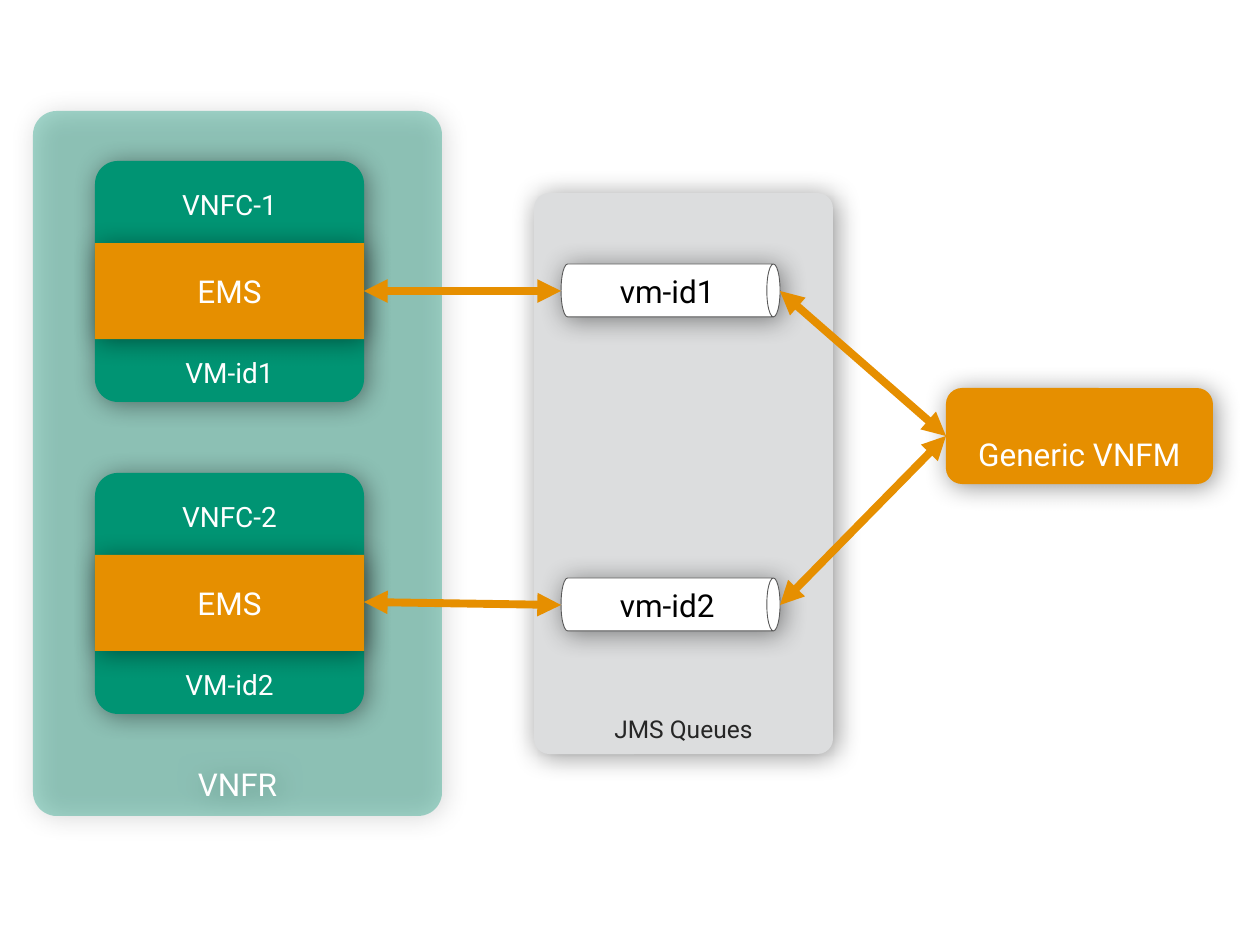
"""Build the slide of VNF components, message queues and their manager."""
from dataclasses import dataclass
from typing import Optional

from lxml import etree
from pptx import Presentation
from pptx import util as u
from pptx.dml.color import RGBColor
from pptx.enum import shapes, text
from pptx.oxml import ns

PIXEL = 914400 / 126
FONT = "Roboto"
WHITE = RGBColor(0xFF, 0xFF, 0xFF)
BLACK = RGBColor(0, 0, 0)
CHARCOAL = RGBColor(0x26, 0x26, 0x26)
OUTLINE = RGBColor(0x59, 0x59, 0x59)
GRAY = RGBColor(0xDC, 0xDD, 0xDE)
ORANGE = RGBColor(0xE6, 0x8F, 0x00)
GREEN = RGBColor(0x00, 0x94, 0x73)

ROUNDED = shapes.MSO_SHAPE.ROUNDED_RECTANGLE
CAN = shapes.MSO_SHAPE.CAN
BOTTOM = text.MSO_ANCHOR.BOTTOM
MIDDLE = text.MSO_ANCHOR.MIDDLE


@dataclass(frozen=True)
class Box:
    left: int
    top: int
    width: int
    height: int
    fill: RGBColor
    lines: tuple[str, ...]
    size: int = 18
    color: RGBColor = WHITE
    anchor: text.MSO_ANCHOR = BOTTOM
    corner: Optional[float] = None
    kind: shapes.MSO_SHAPE = ROUNDED
    opacity: int = 100
    line_gap: int = 0


@dataclass(frozen=True)
class Arrow:
    start: tuple[int, int]
    end: tuple[int, int]


def px(value: float) -> u.Emu:
    return u.Emu(round(value * PIXEL))


def apply(target: object, values: dict) -> None:
    for name, value in values.items():
        setattr(target, name, value)


def add_child(parent, tag: str, **attributes: str):
    child = etree.SubElement(parent, ns.qn(tag))
    for name, value in attributes.items():
        child.set(name, value)
    return child


def add_shadow(shape) -> None:
    shape.shadow.inherit = False
    effects = shape._element.spPr.find(ns.qn("a:effectLst"))
    shadow = add_child(effects, "a:outerShdw", blurRad=str(u.Pt(15)),
                       dist=str(u.Pt(2)), dir=str(45 * 60000), algn="ctr",
                       rotWithShape="0")
    color = add_child(shadow, "a:srgbClr", val="000000")
    add_child(color, "a:alpha", val="43000")


def write_lines(shape, box: Box) -> None:
    frame = shape.text_frame
    apply(frame, {"word_wrap": True, "vertical_anchor": box.anchor})
    for index, line in enumerate(box.lines):
        paragraph = frame.add_paragraph() if index else frame.paragraphs[0]
        apply(paragraph, {"text": line, "alignment": text.PP_ALIGN.CENTER,
                          "space_before": u.Pt(box.line_gap if index else 0)})
        apply(paragraph.font, {"name": FONT, "size": u.Pt(box.size)})
        paragraph.font.color.rgb = box.color


def draw_box(parent, box: Box) -> None:
    shape = parent.add_shape(box.kind, px(box.left), px(box.top),
                             px(box.width), px(box.height))
    if box.corner is not None:
        shape.adjustments[0] = box.corner
    shape.fill.solid()
    shape.fill.fore_color.rgb = box.fill
    if box.opacity < 100:
        color = shape._element.spPr.find(ns.qn("a:solidFill"))[0]
        add_child(color, "a:alpha", val=str(box.opacity * 1000))
    if box.kind == CAN:
        shape.rotation = 90
        shape.line.color.rgb = OUTLINE
        shape.line.width = u.Pt(0.5)
        shape.text_frame._txBody.bodyPr.set("vert", "vert270")
    else:
        shape.line.fill.background()
    add_shadow(shape)
    write_lines(shape, box)


def draw_component(parent, number: int, top: int) -> None:
    group = parent.add_group_shape()
    labels = (f"VNFC-{number}", f"VM-id{number}")
    draw_box(group.shapes, Box(95, top, 269, 241, GREEN, labels, size=16,
                               corner=0.095, line_gap=77))
    draw_box(group.shapes, Box(95, top + 82, 269, 96, ORANGE, ("EMS",),
                               anchor=MIDDLE, corner=0))


def draw_queue(parent, number: int, top: int) -> None:
    draw_box(parent, Box(644, top, 53, 219, WHITE, (f"vm-id{number}",),
                         color=BLACK, anchor=MIDDLE, kind=CAN))


def draw_arrow(parent, arrow: Arrow) -> None:
    connector = parent.add_connector(
        shapes.MSO_CONNECTOR.STRAIGHT, *map(px, arrow.start + arrow.end))
    connector.line.color.rgb = ORANGE
    connector.line.width = u.Pt(4.5)
    outline = connector.line._get_or_add_ln()
    for tag in ("a:headEnd", "a:tailEnd"):
        add_child(outline, tag, type="triangle")
    add_child(connector._element.spPr, "a:effectLst")


PANELS = (
    Box(534, 193, 299, 561, GRAY, ("JMS Queues",), size=14, color=CHARCOAL,
        corner=0.051),
    Box(946, 388, 267, 96, ORANGE, ("Generic VNFM",)),
    Box(33, 111, 409, 705, GREEN, ("VNFR",), corner=0.058, opacity=35),
)
COMPONENT_TOPS = (161, 473)
QUEUE_TOPS = (181, 495)
ARROWS = (
    Arrow((946, 436), (780, 291)),
    Arrow((561, 291), (364, 291)),
    Arrow((946, 436), (780, 605)),
    Arrow((561, 605), (364, 602)),
)


def main() -> None:
    presentation = Presentation()
    apply(presentation, {"slide_width": u.Inches(10),
                         "slide_height": u.Inches(7.5)})
    slide = presentation.slides.add_slide(presentation.slide_layouts[6])
    for panel in PANELS:
        draw_box(slide.shapes, panel)
    for number, top in enumerate(COMPONENT_TOPS, 1):
        draw_component(slide.shapes, number, top)
    for number, top in enumerate(QUEUE_TOPS, 1):
        draw_queue(slide.shapes, number, top)
    for arrow in ARROWS:
        draw_arrow(slide.shapes, arrow)
    presentation.save("out.pptx")


main()
